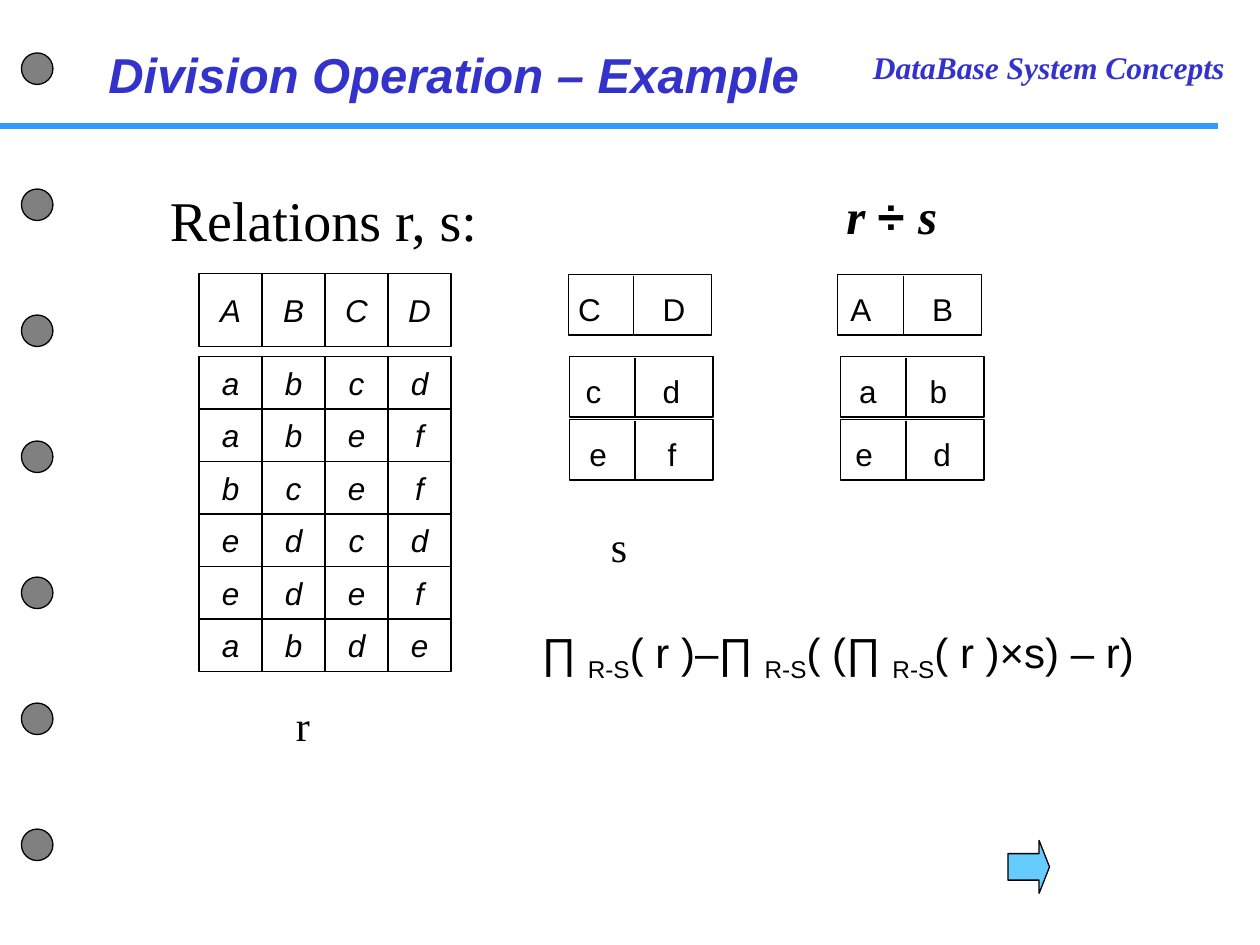
from lxml import etree
from pptx import Presentation
from pptx import util as u
from pptx.dml import color
from pptx.enum import shapes, text
from pptx.oxml import ns

BLACK, WHITE, INDIGO = "000000", "FFFFFF", "3333CC"
SANS, SERIF = "Arial", "Times New Roman"


def rgb(code):
    return color.RGBColor.from_string(code)


def write(paragraph, words, size=18, font=SANS, ink=BLACK, bold=False, italic=False, baseline=0):
    run = paragraph.add_run()
    run.text = words
    run.font.size = u.Pt(size)
    run.font.name = font
    run.font.color.rgb = rgb(ink)
    run.font.bold = bold
    run.font.italic = italic
    if baseline:
        run._r.get_or_add_rPr().set("baseline", str(baseline * 1000))


class Board:
    def __init__(self, deck):
        self.slide = deck.slides.add_slide(deck.slide_layouts[5])
        self.outline = BLACK
        self.weight = 0.75

    def frame(self, holder, wrap=False, align=text.PP_ALIGN.LEFT, anchor=text.MSO_ANCHOR.TOP):
        body = holder.text_frame
        body.word_wrap = wrap
        body.auto_size = text.MSO_AUTO_SIZE.NONE
        body.vertical_anchor = anchor
        body.margin_left = body.margin_right = u.Inches(0.1)
        body.margin_top = body.margin_bottom = u.Inches(0.05)
        body.paragraphs[0].alignment = align
        return body.paragraphs[0]

    def title(self, words, left, top, width, height, **style):
        heading = self.slide.shapes.title
        heading.left, heading.top = u.Inches(left), u.Inches(top)
        heading.width, heading.height = u.Inches(width), u.Inches(height)
        write(self.frame(heading, wrap=True), words, **style)

    def label(self, pieces, left, top, width, height, wrap=False, **style):
        box = self.slide.shapes.add_textbox(*map(u.Inches, (left, top, width, height)))
        paragraph = self.frame(box, wrap)
        for words, extra in pieces:
            write(paragraph, words, **{**style, **extra})
        return paragraph

    def shape(self, preset, left, top, width, height, fill=WHITE):
        drawn = self.slide.shapes.add_shape(preset, *map(u.Inches, (left, top, width, height)))
        drawn.shadow.inherit = False
        drawn.fill.solid()
        drawn.fill.fore_color.rgb = rgb(fill)
        drawn.line.color.rgb = rgb(self.outline)
        drawn.line.width = u.Pt(self.weight)
        return drawn

    def line(self, x1, y1, x2, y2, ink=BLACK, weight=0.75):
        rule = self.slide.shapes.add_connector(
            shapes.MSO_CONNECTOR.STRAIGHT, *map(u.Inches, (x1, y1, x2, y2)))
        rule.line.color.rgb = rgb(ink)
        rule.line.width = u.Pt(weight)
        etree.SubElement(rule._element.spPr, ns.qn("a:effectLst"))

    def cell(self, letter, left, top, width, height):
        box = self.shape(shapes.MSO_SHAPE.RECTANGLE, left, top, width, height)
        paragraph = self.frame(box, align=text.PP_ALIGN.CENTER, anchor=text.MSO_ANCHOR.MIDDLE)
        write(paragraph, letter, italic=True)

    def pair(self, first, second, left, top, text_left, text_width, tab):
        self.shape(shapes.MSO_SHAPE.RECTANGLE, left, top, 1.14, 0.48)
        paragraph = self.label([(f"{first}\t{second}", {})], text_left, top + 0.07, text_width, 0.4)
        stops = etree.SubElement(paragraph._p.get_or_add_pPr(), ns.qn("a:tabLst"))
        etree.SubElement(stops, ns.qn("a:tab"), pos=str(u.Inches(tab)), algn="l")
        self.line(left + 0.52, top + 0.01, left + 0.52, top + 0.48)


def main():
    deck = Presentation()
    deck.slide_width, deck.slide_height = u.Inches(10), u.Inches(7.5)
    board = Board(deck)

    board.line(0, 1, 9.67, 1, ink="3399FF", weight=3)
    for hole_top in (0.42, 1.5, 2.5, 3.5, 4.58, 5.58, 6.58):
        board.shape(shapes.MSO_SHAPE.OVAL, 0.17, hole_top, 0.25, 0.25, fill="808080")
    board.label([("DataBase System Concepts", {})], 6.83, 0.33, 3.17, 0.4, wrap=True,
                font=SERIF, ink=INDIGO, bold=True, italic=True)
    board.title("Division Operation – Example", 0.76, 0.3, 5.9, 0.57,
                size=28, ink=INDIGO, bold=True, italic=True)

    board.label([("Relations r, s:", {})], 1.25, 1.42, 2.66, 0.64, size=32, font=SERIF)
    relation_left, column_width = 1.58, 0.5
    rows_top, row_height = 2.83, 2.5 / 6
    for column, attribute in enumerate("ABCD"):
        board.cell(attribute, relation_left + column * column_width, 2.17, column_width, 0.58)
    for row, values in enumerate(("abcd", "abef", "bcef", "edcd", "edef", "abde")):
        for column, value in enumerate(values):
            board.cell(value, relation_left + column * column_width,
                       rows_top + row * row_height, column_width, row_height)
    board.label([("r", {})], 2.25, 5.5, 1.08, 0.5, wrap=True, size=24, font=SERIF)

    header_top, first_top, second_top = 2.18, 2.83, 3.33
    for first, second, left, top, text_left, text_width, tab in (
        ("C", "D", 4.51, header_top, 4.49, 1.05, 0.67),
        ("c", "d", 4.52, first_top, 4.55, 0.95, 0.61),
        ("e", "f", 4.52, second_top, 4.58, 0.89, 0.62),
        ("A", "B", 6.65, header_top, 6.65, 1.02, 0.65),
        ("a", "b", 6.67, first_top, 6.72, 0.89, 0.56),
        ("e", "d", 6.67, second_top, 6.69, 0.96, 0.62),
    ):
        board.pair(first, second, left, top, text_left, text_width, tab)
    board.label([("s", {})], 4.75, 4.08, 0.75, 0.5, wrap=True, size=24, font=SERIF)

    board.label([("r ", {}), ("÷ ", {"font": SANS, "italic": False}), ("s", {})],
                6.62, 1.42, 1, 0.57, size=28, font=SERIF, bold=True, italic=True)
    arrow = board.shape(shapes.MSO_SHAPE.RIGHT_ARROW, 8, 6.67, 0.33, 0.42, fill="66CCFF")
    arrow.adjustments[0], arrow.adjustments[1] = 0.5, 0.25
    subscript = ("R-S", {"baseline": -25})
    board.label([("∏ ", {}), subscript, ("( r )–∏ ", {}), subscript, ("( (∏ ", {}), subscript,
                 ("( r )×s) – r)", {})], 4.2, 4.92, 4.96, 0.56, size=24)

    deck.save("out.pptx")


if __name__ == "__main__":
    main()
